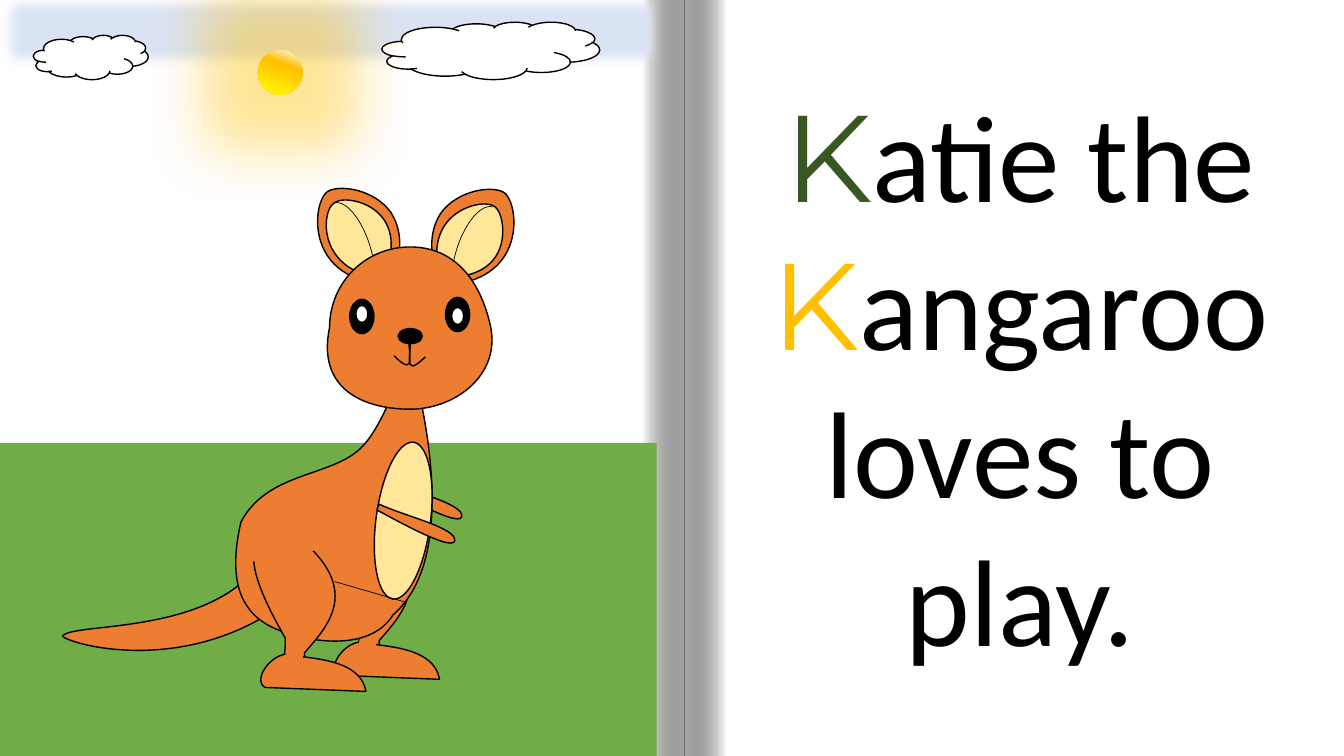
from dataclasses import dataclass, replace
from math import cos, radians, sin
from typing import Optional, Union

from lxml import etree
from pptx import Presentation
from pptx.dml.color import RGBColor
from pptx.enum.shapes import MSO_CONNECTOR, MSO_SHAPE
from pptx.enum.text import MSO_AUTO_SIZE, PP_ALIGN
from pptx.oxml.ns import qn
from pptx.shapes.autoshape import Shape
from pptx.shapes.shapetree import GroupShapes, SlideShapes
from pptx.text.text import _Paragraph
from pptx.util import Length, Pt

RECTANGLE, OVAL = MSO_SHAPE.RECTANGLE, MSO_SHAPE.OVAL
CLOUD, ARC = MSO_SHAPE.CLOUD, MSO_SHAPE.ARC
STRAIGHT = MSO_CONNECTOR.STRAIGHT
CENTER = PP_ALIGN.CENTER
GROW = MSO_AUTO_SIZE.SHAPE_TO_FIT_TEXT

POINT = Pt(1)
GRID = Pt(0.72)  # drawing unit of the kangaroo
CURVE_STEPS = 16
ARC_SPAN = (162, 29.98)


@dataclass(frozen=True)
class Theme:
    white: str = "FFFFFF"
    black: str = "000000"
    sky: str = "DAE3F3"
    grass: str = "70AD47"
    fur: str = "ED7D31"
    cream: str = "FFE699"
    gold: str = "FFC000"
    yellow: str = "FFFF00"
    pine: str = "385723"
    body_font: str = "Calibri"
    initial_font: str = "Montserrat"
    story_size: float = 88
    outline: float = 1
    fine: float = 0.5


THEME = Theme()
Shapes = Union[SlideShapes, GroupShapes]
Numbers = tuple[float, ...]


@dataclass(frozen=True)
class Stop:
    position: int
    color: str
    alpha: int = 100


@dataclass(frozen=True)
class Preset:
    kind: MSO_SHAPE
    at: tuple[float, float, float, float]
    fill: Optional[str] = None
    line: Optional[str] = THEME.black
    weight: float = THEME.outline
    rotation: float = 0
    flipped: bool = False


@dataclass(frozen=True)
class Outline:
    """A start point, then segments: two numbers for a line, six for a curve."""
    start: Numbers
    segments: tuple[Numbers, ...]
    fill: Optional[str] = THEME.fur
    line: Optional[str] = THEME.black
    closed: bool = True
    rotation: float = 0

    def moved(self, dx: float, dy: float, sign: int = 1) -> "Outline":
        """Shift the outline; a sign of -1 mirrors x before the shift."""
        def move(numbers: Numbers) -> Numbers:
            return tuple(n + dy if i % 2 else sign * n + dx for i, n in enumerate(numbers))
        return replace(self, start=move(self.start), segments=tuple(map(move, self.segments)),
                       rotation=sign * self.rotation)


@dataclass(frozen=True)
class Stroke:
    start: Numbers
    end: Numbers


EAR = Outline((325, 254), ((309, 230, 315, 197, 325, 190), (336, 183, 371, 187, 388, 211),
                           (404, 236, 395, 270, 384, 277), (374, 284, 341, 278, 325, 254)),
              rotation=326)
LEFT_INNER_EAR = Outline((332, 251), (
    (319, 232, 323, 206, 332, 201), (340, 195, 368, 199, 381, 218),
    (394, 237, 387, 264, 378, 270), (370, 276, 345, 271, 332, 251)), THEME.cream, rotation=326)
RIGHT_INNER_EAR = Outline((443, 221), (
    (457, 203, 483, 199, 491, 205), (499, 211, 504, 239, 490, 257),
    (476, 275, 448, 277, 440, 271), (432, 265, 429, 239, 443, 221)), THEME.cream, rotation=37.3)
ARM = Outline((383, 476), ((381, 482), (393, 488, 454, 523, 458, 513),
                           (462, 500, 408, 488, 383, 476)), rotation=296.4)
TAIL = Outline((259, 557), ((209, 631, 72, 617, 62, 631), (66, 638, 181, 673, 283, 598),
                            (259, 557)), rotation=329.5)
LEG = Outline((378, 528), ((343, 521), (315, 526, 322, 560, 357, 621),
                           (358, 644, 350, 653, 355, 661), (358, 658, 376, 669, 379, 666),
                           (376, 636), (393, 615, 434, 579, 378, 528)))
FOOT = Outline((436, 674), ((430, 639, 374, 642, 359, 637), (342, 636, 323, 663, 336, 670),
                            (436, 674)))
ANKLE = Outline((361, 619), ((379, 628, 371, 643, 372, 648), (371, 653, 355, 654, 353, 649),
                             (361, 619)), line=None, rotation=109.6)
BODY = Outline((264, 619), ((289, 634, 364, 652, 390, 610), (459, 550, 416, 391, 410, 364),
                            (404, 337, 385, 424, 354, 448), (323, 473, 264, 470, 239, 518),
                            (226, 575, 239, 604, 264, 619)), rotation=29.7)
HEAD = Outline((487, 325), ((477, 278, 451, 245, 407, 245), (362, 245, 327, 281, 327, 325),
                            (314, 387, 362, 406, 407, 406), (451, 406, 496, 373, 487, 325)))
HIP = Outline((238, 526), ((309, 520, 305, 539, 315, 543), (317, 548, 264, 560, 251, 557),
                           (238, 526)), line=None, rotation=83.7)
SMILE = Outline((407, 336), ((402, 341, 417, 379, 391, 353),), fill=None, closed=False)
LEFT_CREASE = Preset(ARC, (325, 199, 43, 102), weight=THEME.fine, rotation=342.7)
RIGHT_CREASE = replace(LEFT_CREASE, at=(452, 203, 43, 102), rotation=17.3, flipped=True)

KANGAROO = (
    EAR, LEFT_INNER_EAR, LEFT_CREASE, ARM,
    EAR.moved(825, 1, -1), RIGHT_INNER_EAR, RIGHT_CREASE,
    TAIL, LEG, FOOT, ANKLE, BODY, LEG.moved(-74, 12), FOOT.moved(-73, 12),
    Preset(OVAL, (373, 438, 54, 157), THEME.cream, rotation=7.5, flipped=True),
    Stroke((401, 597), (332, 577)), HEAD, HIP,
    Preset(OVAL, (347, 297, 24, 34), THEME.black),
    Preset(OVAL, (442, 295, 24, 34), THEME.black),
    Preset(OVAL, (448, 305, 12, 17), THEME.white),
    Preset(OVAL, (353, 303, 12, 17), THEME.white),
    Preset(OVAL, (395, 326, 24, 15), THEME.black),
    SMILE, SMILE.moved(813, 1, -1), ANKLE.moved(-72, 9), ARM.moved(-7, 24),
)


def paint(shape: Shape, fill: Optional[str], line: Optional[str], weight: float) -> None:
    shape.shadow.inherit = False
    if fill:
        shape.fill.solid()
        shape.fill.fore_color.rgb = RGBColor.from_string(fill)
    else:
        shape.fill.background()
    if line:
        shape.line.color.rgb = RGBColor.from_string(line)
        shape.line.width = Pt(weight)
    else:
        shape.line.fill.background()


def draw_preset(shapes: Shapes, preset: Preset, unit: Length = POINT) -> Shape:
    shape = shapes.add_shape(preset.kind, *(round(n * unit) for n in preset.at))
    paint(shape, preset.fill, preset.line, preset.weight)
    shape.rotation = preset.rotation
    if preset.kind == ARC:
        shape.adjustments[0], shape.adjustments[1] = ARC_SPAN
    if preset.flipped:
        shape.element.spPr.find(qn("a:xfrm")).set("flipH", "1")
    return shape


def turn(numbers: Numbers, pivot: Numbers, degrees: float) -> Numbers:
    """Turn x, y pairs clockwise about the pivot."""
    c, s = cos(radians(degrees)), sin(radians(degrees))
    turned: list[float] = []
    for x, y in zip(numbers[::2], numbers[1::2]):
        dx, dy = x - pivot[0], y - pivot[1]
        turned += [pivot[0] + c * dx - s * dy, pivot[1] + s * dx + c * dy]
    return tuple(turned)


def trace(start: Numbers, segments: list[Numbers]) -> list[Numbers]:
    """Give points along the segments, enough to measure their extent."""
    points, here = [], start
    for segment in segments:
        if len(segment) == 6:
            for step in range(1, CURVE_STEPS):
                t = step / CURVE_STEPS
                weights = ((1 - t) ** 3, 3 * t * (1 - t) ** 2, 3 * t * t * (1 - t), t ** 3)
                knots = here + segment
                points.append(tuple(sum(w * n for w, n in zip(weights, knots[axis::2]))
                                    for axis in (0, 1)))
        here = segment[-2:]
        points.append(here)
    return points


def draw_outline(shapes: Shapes, outline: Outline) -> None:
    """Measure the upright outline, write its curves, then rotate the shape."""
    start = tuple(n * GRID for n in outline.start)
    segments = [turn(tuple(n * GRID for n in segment), start, -outline.rotation)
                for segment in outline.segments]
    builder = shapes.build_freeform(*start, scale=1.0)
    builder.add_line_segments(trace(start, segments), close=outline.closed)
    shape = builder.convert_to_shape()
    paint(shape, outline.fill, outline.line, THEME.outline)
    contour = shape.element.spPr.find(".//" + qn("a:path"))
    for old in list(contour):
        contour.remove(old)
    for name, numbers in [("a:moveTo", start)] + [
            ("a:cubicBezTo" if len(segment) == 6 else "a:lnTo", segment) for segment in segments]:
        command = etree.SubElement(contour, qn(name))
        for x, y in zip(numbers[::2], numbers[1::2]):
            etree.SubElement(command, qn("a:pt"), x=str(round(x - shape.left)),
                             y=str(round(y - shape.top)))
    if outline.closed:
        etree.SubElement(contour, qn("a:close"))
    middle = (shape.left + shape.width / 2, shape.top + shape.height / 2)
    x, y = turn(middle, start, outline.rotation)
    shape.left, shape.top = round(x - shape.width / 2), round(y - shape.height / 2)
    shape.rotation = outline.rotation


def draw_stroke(shapes: Shapes, stroke: Stroke) -> None:
    ends = (round(n * GRID) for n in stroke.start + stroke.end)
    connector = shapes.add_connector(STRAIGHT, *ends)
    connector.line.color.rgb = RGBColor.from_string(THEME.black)
    connector.line.width = Pt(THEME.fine)
    etree.SubElement(connector.element.spPr, qn("a:effectLst"))


def add_color(parent: etree._Element, color: str, alpha: int) -> None:
    node = etree.SubElement(parent, qn("a:srgbClr"), val=color)
    if alpha < 100:
        etree.SubElement(node, qn("a:alpha"), val=str(alpha * 1000))


def shade(shape: Shape, stops: tuple[Stop, ...], angle: float) -> None:
    """Fill with a gradient; the angle runs counter-clockwise."""
    shape.fill.gradient()
    shape.fill.gradient_angle = angle
    stop_list = shape.element.spPr.find(".//" + qn("a:gsLst"))
    for old in list(stop_list):
        stop_list.remove(old)
    for stop in stops:
        node = etree.SubElement(stop_list, qn("a:gs"), pos=str(stop.position * 1000))
        add_color(node, stop.color, stop.alpha)


def add_effect(shape: Shape, name: str, radius: float) -> etree._Element:
    effects = shape.element.spPr.find(qn("a:effectLst"))
    return etree.SubElement(effects, qn(name), rad=str(Pt(radius)))


def add_span(para: _Paragraph, text: str, *, font: str, color: str) -> None:
    span = para.add_run()
    span.text = text
    span.font.name = font
    span.font.size = Pt(THEME.story_size)
    span.font.color.rgb = RGBColor.from_string(color)


def draw_book(shapes: Shapes) -> None:
    draw_preset(shapes, Preset(RECTANGLE, (0, 0, 960, 540), THEME.white, None))
    fold = (Stop(0, THEME.white), Stop(100, THEME.black, 34))
    for left, flipped in ((488.9, False), (458.6, True)):
        half = draw_preset(shapes, Preset(RECTANGLE, (left, 0, 30.24, 540), line=None,
                                          flipped=flipped))
        shade(half, fold, 180)


def draw_story(shapes: Shapes) -> None:
    box = shapes.add_textbox(Pt(502.5), Pt(53.3), Pt(452.2), Pt(433.4))
    box.text_frame.word_wrap = True
    box.text_frame.auto_size = GROW
    para = box.text_frame.paragraphs[0]
    para.alignment = CENTER
    for color, rest in ((THEME.pine, "atie the "), (THEME.gold, "angaroo loves to play.")):
        add_span(para, "K", font=THEME.initial_font, color=color)
        add_span(para, rest, font=THEME.body_font, color=THEME.black)


def draw_scenery(shapes: Shapes) -> None:
    sky = draw_preset(shapes, Preset(RECTANGLE, (-3.6, -8.6, 480.2, 61.2), THEME.sky, THEME.sky))
    add_effect(sky, "a:softEdge", 10)
    for at in ((23.8, 25.2, 82.1, 31.7), (272.9, 15.8, 155.5, 41)):
        draw_preset(shapes, Preset(CLOUD, at, THEME.white))
    draw_preset(shapes, Preset(RECTANGLE, (-0.7, 316.3, 469.7, 299.5), THEME.grass, None))
    sun = draw_preset(shapes, Preset(OVAL, (184.3, 36, 31.7, 31.7), line=None))
    shade(sun, (Stop(0, THEME.white), Stop(34, THEME.gold), Stop(100, THEME.yellow)), 250)
    add_color(add_effect(sun, "a:glow", 80), THEME.gold, 40)


def draw_kangaroo(shapes: Shapes) -> None:
    for part in KANGAROO:
        if isinstance(part, Outline):
            draw_outline(shapes, part)
        elif isinstance(part, Preset):
            draw_preset(shapes, part, GRID)
        else:
            draw_stroke(shapes, part)


def main() -> None:
    deck = Presentation()
    deck.slide_width, deck.slide_height = Pt(960), Pt(540)
    page = deck.slides.add_slide(deck.slide_layouts[6])
    page.background.fill.solid()
    page.background.fill.fore_color.rgb = RGBColor.from_string(THEME.black)
    draw_book(page.shapes.add_group_shape().shapes)
    draw_story(page.shapes)
    draw_scenery(page.shapes)
    draw_kangaroo(page.shapes.add_group_shape().shapes)
    deck.save("out.pptx")


if __name__ == "__main__":
    main()
